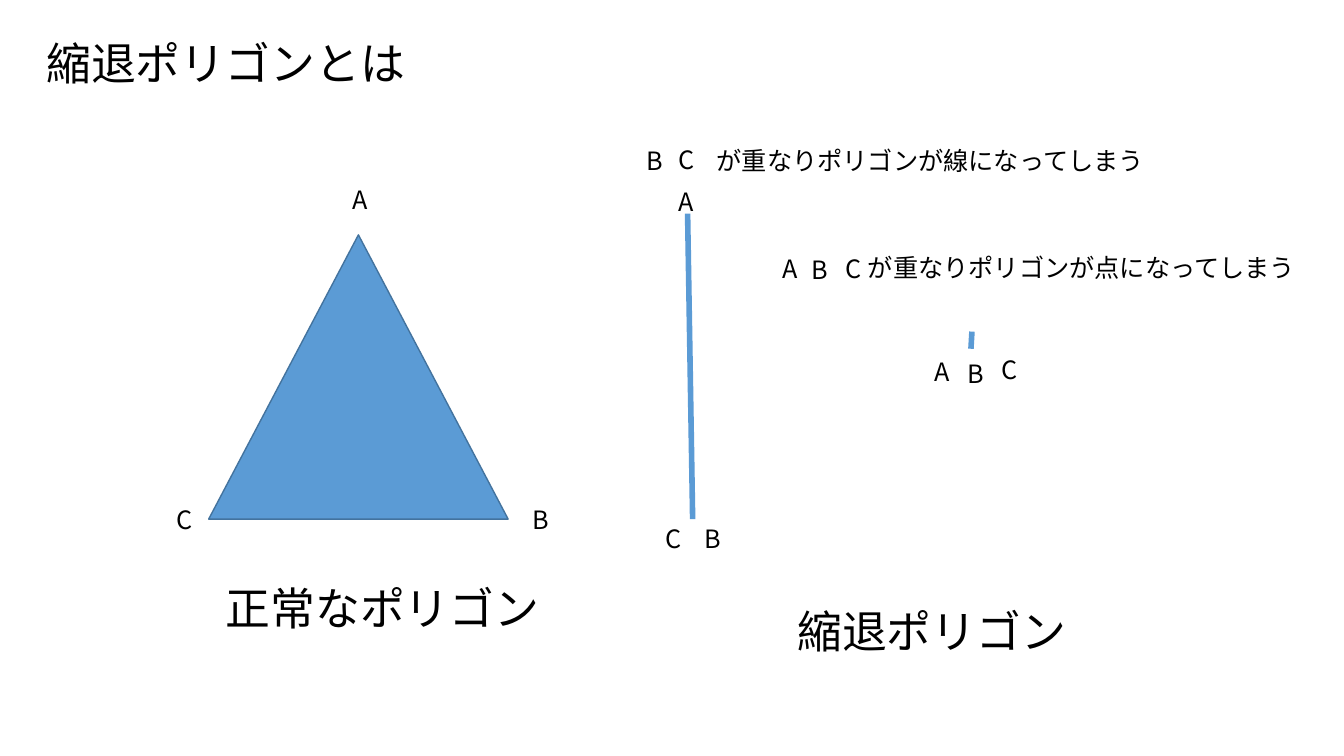
from dataclasses import dataclass

from lxml.etree import SubElement
from pptx import Presentation
from pptx.dml.color import RGBColor
from pptx.enum.shapes import MSO_CONNECTOR, MSO_SHAPE
from pptx.enum.text import MSO_ANCHOR, MSO_AUTO_SIZE, PP_ALIGN
from pptx.oxml.ns import qn
from pptx.util import Inches, Pt


@dataclass(frozen=True)
class Theme:
    text: str = "000000"
    fill: str = "5B9BD5"
    outline: str = "43739E"
    head_font: str = "Courier New"
    body_font: str = "Noto Sans CJK JP"
    head_size: int = 32
    body_size: int = 18
    outline_width: int = 1
    line_width: int = 4


THEME = Theme()
HEAD_H, LABEL_W, LABEL_H = 0.64, 0.38, 0.4
TITLE = ("縮退ポリゴンとは", 0.36, 0.3, 3.81)
CAPTIONS = [("正常なポリゴン", 2.14, 5.71, 3.36), ("縮退ポリゴン", 7.81, 5.94, 3.36)]
NOTES = [
    ("が重なりポリゴンが線になってしまう", 7.01, 1.39, 4.7),
    ("が重なりポリゴンが点になってしまう", 8.51, 2.45, 4.7),
]
VERTICES = {
    "A": [(3.4, 1.78), (6.63, 1.8), (9.17, 3.49), (7.66, 2.46)],
    "B": [(5.18, 4.95), (6.31, 1.39), (6.89, 5.14), (9.5, 3.51), (7.95, 2.47)],
    "C": [(1.65, 4.95), (6.63, 1.38), (6.5, 5.14), (9.83, 3.47), (8.29, 2.46)],
}
TRIANGLE = (2.07, 2.33, 2.97, 2.82)
COLLAPSED = [(6.82, 2.12, 6.87, 5.15), (9.64, 3.29, 9.63, 3.46)]


def write(sp, text, font=THEME.body_font, size=THEME.body_size, color=THEME.text):
    tf = sp.text_frame
    tf.word_wrap = True
    tf.auto_size = MSO_AUTO_SIZE.NONE
    tf.vertical_anchor = MSO_ANCHOR.TOP
    p = tf.paragraphs[0]
    p.alignment = PP_ALIGN.LEFT
    r = p.add_run()
    r.text = text
    r.font.name = font
    r.font.size = Pt(size)
    r.font.color.rgb = RGBColor.from_string(color)
    SubElement(r.font._element, qn("a:ea")).set("typeface", THEME.body_font)


def add_text(s, text, x, y, w, h, **fmt):
    write(s.shapes.add_textbox(*map(Inches, (x, y, w, h))), text, **fmt)


def add_triangle(s):
    sp = s.shapes.add_shape(MSO_SHAPE.ISOSCELES_TRIANGLE, *map(Inches, TRIANGLE))
    sp.shadow.inherit = False
    sp.fill.solid()
    sp.fill.fore_color.rgb = RGBColor.from_string(THEME.fill)
    sp.line.color.rgb = RGBColor.from_string(THEME.outline)
    sp.line.width = Pt(THEME.outline_width)


def add_line(s, ends):
    ln = s.shapes.add_connector(MSO_CONNECTOR.STRAIGHT, *map(Inches, ends))
    ln.line.color.rgb = RGBColor.from_string(THEME.fill)
    ln.line.width = Pt(THEME.line_width)
    SubElement(ln._element.spPr, qn("a:effectLst"))


def main():
    """Build the slide that explains degenerate polygons."""
    prs = Presentation()
    prs.slide_width, prs.slide_height = Inches(13.33), Inches(7.5)
    s = prs.slides.add_slide(prs.slide_layouts[5])
    head = {"font": THEME.head_font, "size": THEME.head_size}

    text, x, y, w = TITLE
    title = s.shapes.title
    title.left, title.top, title.width, title.height = map(Inches, (x, y, w, HEAD_H))
    write(title, text, **head)

    add_triangle(s)
    for ends in COLLAPSED:
        add_line(s, ends)
    for caption in CAPTIONS:
        add_text(s, *caption, HEAD_H, **head)
    for note in NOTES:
        add_text(s, *note, LABEL_H)
    for name, spots in VERTICES.items():
        for x, y in spots:
            add_text(s, name, x, y, LABEL_W, LABEL_H)
    prs.save("out.pptx")


if __name__ == "__main__":
    main()
